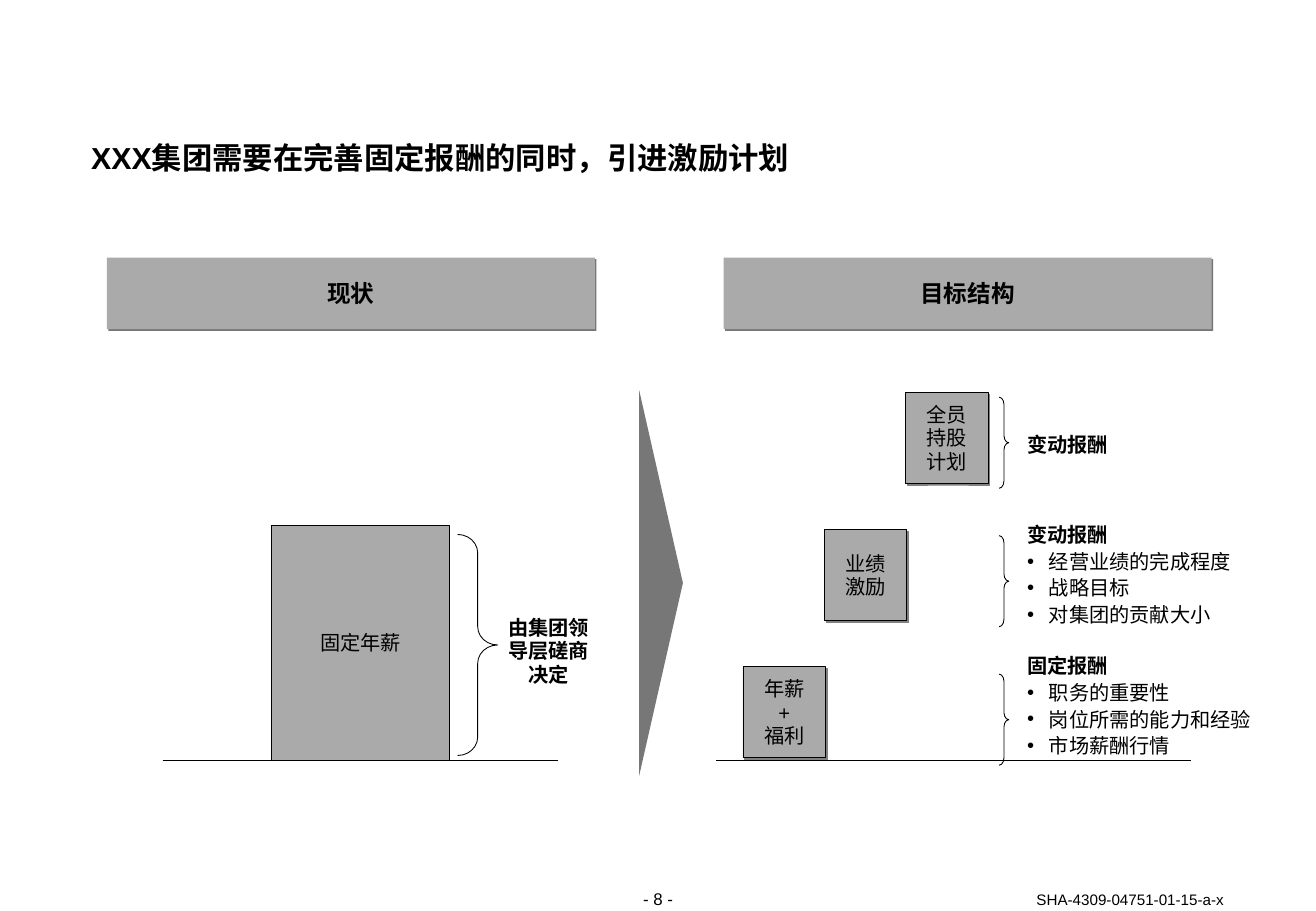
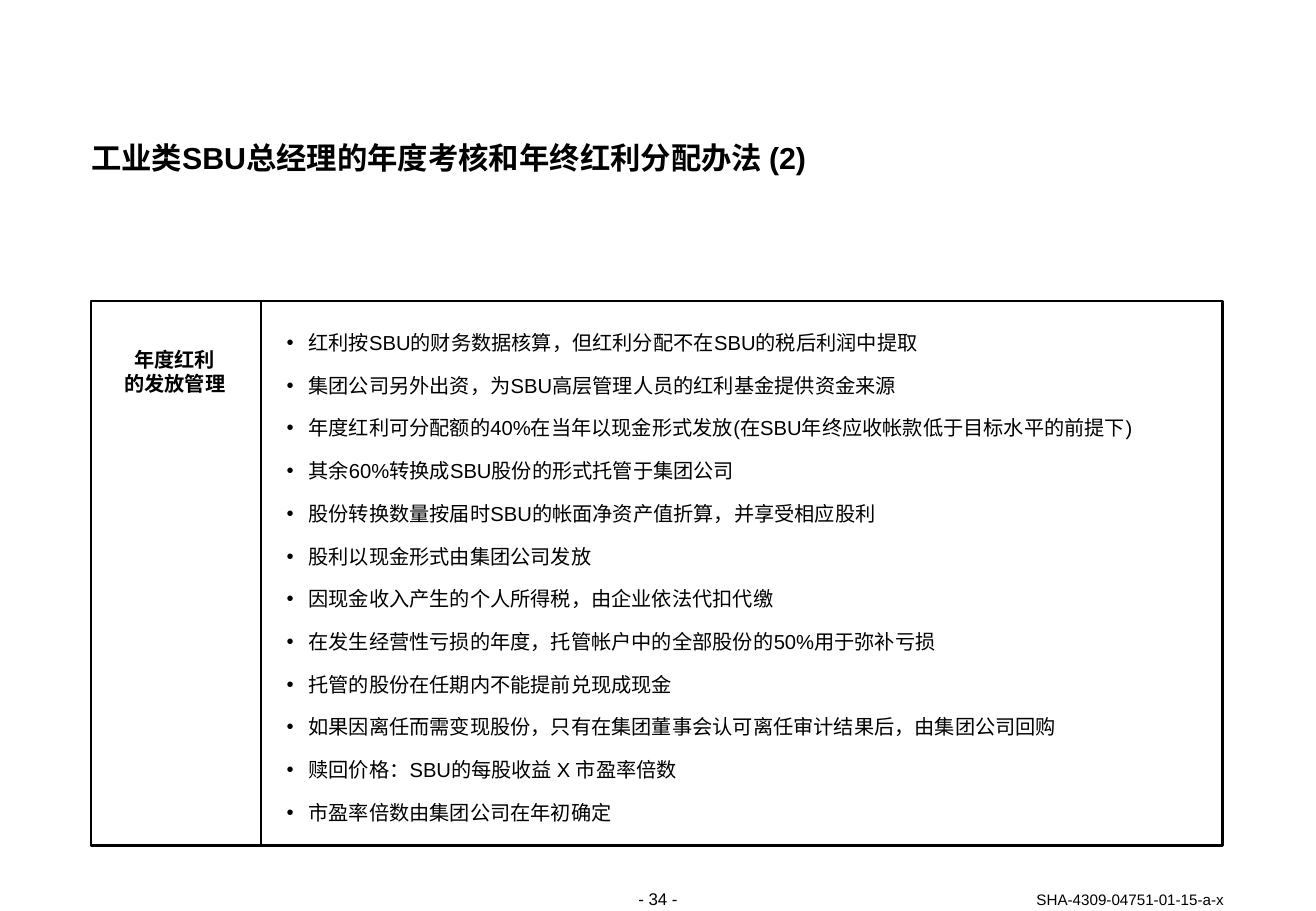
from lxml import etree
from pptx import Presentation
from pptx.dml.color import RGBColor
from pptx.enum.lang import MSO_LANGUAGE_ID
from pptx.enum.shapes import MSO_CONNECTOR, MSO_SHAPE
from pptx.enum.text import MSO_ANCHOR, MSO_AUTO_SIZE, PP_ALIGN
from pptx.oxml.ns import qn
from pptx.util import Inches, Pt

LEFT, CENTER, RIGHT = PP_ALIGN.LEFT, PP_ALIGN.CENTER, PP_ALIGN.RIGHT
TOP, MIDDLE, BOTTOM = MSO_ANCHOR.TOP, MSO_ANCHOR.MIDDLE, MSO_ANCHOR.BOTTOM
RECTANGLE = MSO_SHAPE.RECTANGLE
TRIANGLE = MSO_SHAPE.ISOSCELES_TRIANGLE
BRACE = MSO_SHAPE.RIGHT_BRACE
STRAIGHT = MSO_CONNECTOR.STRAIGHT
CHINESE = MSO_LANGUAGE_ID.SIMPLIFIED_CHINESE
NO_AUTOFIT = MSO_AUTO_SIZE.NONE
TITLE_ONLY = 5

FONT = "Arial"
BLACK, GRAY, DARK_GRAY, BOX_SHADOW = "000000", "AAAAAA", "777777", "808080"
DOCUMENT_CODE = "SHA-4309-04751-01-15-a-x"


def color(value):
    return RGBColor.from_string(value)


class Deck:
    """Holds the shared style and the slide being filled."""

    def __init__(self):
        self.presentation = Presentation()
        self.presentation.slide_width = Inches(10.84)
        self.presentation.slide_height = Inches(7.5)
        self.slide = None

    def start_slide(self, title, number):
        layout = self.presentation.slide_layouts[TITLE_ONLY]
        self.slide = self.presentation.slides.add_slide(layout)
        placeholder = self.slide.shapes.title
        placeholder.left, placeholder.top = Inches(0.75), Inches(1.17)
        placeholder.width, placeholder.height = Inches(9.33), Inches(0.28)
        self.set_text(placeholder, [title], size=18, bold=True, spacing=Pt(20))
        self.text([f"- {number} -"], 4.85, 7.32, 1.14, 0.17, size=10, align=CENTER)
        self.text([DOCUMENT_CODE], 7.64, 7.33, 2.44, 0.15, size=9, align=RIGHT,
                  anchor=BOTTOM, spacing=Pt(11))

    def set_text(self, shape, lines, size=12, bold=False, align=LEFT, anchor=TOP,
                 spacing=None):
        frame = shape.text_frame
        frame.word_wrap = True
        frame.auto_size = NO_AUTOFIT
        frame.vertical_anchor = anchor
        frame.margin_left = frame.margin_right = 0
        frame.margin_top = frame.margin_bottom = 0
        for index, line in enumerate(lines):
            paragraph = frame.paragraphs[0] if index == 0 else frame.add_paragraph()
            paragraph.alignment = align
            if spacing:
                paragraph.line_spacing = spacing
            run = paragraph.add_run()
            run.text = line
            font = run.font
            font.name, font.size, font.bold = FONT, Pt(size), bold
            font.color.rgb = color(BLACK)
            font.language_id = CHINESE

    def text(self, lines, left, top, width, height, **style):
        box = self.slide.shapes.add_textbox(
            Inches(left), Inches(top), Inches(width), Inches(height))
        self.set_text(box, lines, **style)
        return box

    def bullets(self, lines, left, top, width, height, spacing, before=0, heading=False):
        """Add a bulleted list; with heading, its first line is bold and unmarked."""
        box = self.text(lines, left, top, width, height, spacing=spacing)
        for index, paragraph in enumerate(box.text_frame.paragraphs):
            if index and before:
                paragraph.space_before = Pt(before)
            properties = paragraph._p.get_or_add_pPr()
            properties.set("marL", str(Inches(0.19)))
            properties.set("indent", str(Inches(-0.18)))
            if heading and index == 0:
                paragraph.runs[0].font.bold = True
            else:
                etree.SubElement(properties, qn("a:buFont"), typeface=FONT)
                etree.SubElement(properties, qn("a:buChar"), char="•")

    def shape(self, kind, left, top, width, height, fill=None, line=None, shadow=None):
        """Add a preset shape; line is a width in points, shadow a colour."""
        shape = self.slide.shapes.add_shape(
            kind, Inches(left), Inches(top), Inches(width), Inches(height))
        shape.shadow.inherit = False
        if fill:
            shape.fill.solid()
            shape.fill.fore_color.rgb = color(fill)
        else:
            shape.fill.background()
        if line:
            shape.line.color.rgb = color(BLACK)
            shape.line.width = Pt(line)
        else:
            shape.line.fill.background()
        if shadow:
            effects = shape._element.spPr.find(qn("a:effectLst"))
            outer = etree.SubElement(effects, qn("a:outerShdw"), blurRad="0",
                                     dist=str(Pt(1.4)), dir="2700000",
                                     algn="ctr", rotWithShape="0")
            etree.SubElement(outer, qn("a:srgbClr"), val=shadow)
        return shape

    def brace(self, left, top, width, height, curve):
        brace = self.shape(BRACE, left, top, width, height, line=0.5)
        brace.adjustments[0] = curve

    def line(self, left, top, right, bottom, width):
        connector = self.slide.shapes.add_connector(
            STRAIGHT, Inches(left), Inches(top), Inches(right), Inches(bottom))
        connector.line.color.rgb = color(BLACK)
        connector.line.width = Pt(width)
        etree.SubElement(connector._element.spPr, qn("a:effectLst"))


def build_pay_structure(deck):
    deck.start_slide("XXX集团需要在完善固定报酬的同时，引进激励计划", 8)
    for left, heading in ((0.88, "现状"), (5.96, "目标结构")):
        band = deck.shape(RECTANGLE, left, 2.12, 4.02, 0.59, GRAY, shadow=DARK_GRAY)
        deck.set_text(band, [heading], size=14, bold=True, align=CENTER, anchor=MIDDLE)
    for left, right in ((1.34, 4.6), (5.9, 9.81)):
        deck.line(left, 6.26, right, 6.26, 0.5)

    centered = {"align": CENTER, "anchor": MIDDLE, "spacing": Pt(14)}
    salary = deck.shape(RECTANGLE, 2.24, 4.33, 1.46, 1.93, GRAY, line=0.5)
    deck.set_text(salary, ["固定年薪"], **centered)
    deck.brace(3.77, 4.4, 0.33, 1.82, 0.46)
    deck.text(["由集团领导层磋商决定"], 4.11, 5.07, 0.82, 0.58, bold=True, **centered)
    deck.shape(TRIANGLE, 3.86, 4.62, 3.17, 0.36, DARK_GRAY).rotation = 90

    steps = [
        (["年薪", "+", "福利"], 5.36,
         ["固定报酬", "职务的重要性", "岗位所需的能力和经验", "市场薪酬行情"]),
        (["业绩", "激励"], 4.28,
         ["变动报酬", "经营业绩的完成程度", "战略目标", "对集团的贡献大小"]),
        (["全员", "持股", "计划"], 3.54, ["变动报酬"]),
    ]
    for index, (label, notes_top, notes) in enumerate(steps):
        box = deck.shape(RECTANGLE, 6.12 + 0.67 * index, 5.49 - 1.13 * index,
                         0.68, 0.75, GRAY, line=0.5, shadow=BOX_SHADOW)
        deck.set_text(box, label, **centered)
        deck.brace(8.23, 5.55 - 1.14 * index, 0.08, 0.75, 0.75)
        deck.bullets(notes, 8.45, notes_top, 1.89, 0.22 * len(notes),
                     spacing=1.1, heading=True)


def build_bonus_rules(deck):
    deck.start_slide("工业类SBU总经理的年度考核和年终红利分配办法 (2)", 34)
    deck.shape(RECTANGLE, 0.75, 2.48, 9.32, 4.48, line=1.5)
    deck.line(2.15, 2.48, 2.15, 6.96, 1)
    deck.text(["年度红利", "的发放管理"], 0.94, 2.86, 1, 0.4, bold=True, align=CENTER)
    rules = [
        "红利按SBU的财务数据核算，但红利分配不在SBU的税后利润中提取",
        "集团公司另外出资，为SBU高层管理人员的红利基金提供资金来源",
        "年度红利可分配额的40%在当年以现金形式发放(在SBU年终应收帐款低于目标水平的前提下)",
        "其余60%转换成SBU股份的形式托管于集团公司",
        "股份转换数量按届时SBU的帐面净资产值折算，并享受相应股利",
        "股利以现金形式由集团公司发放",
        "因现金收入产生的个人所得税，由企业依法代扣代缴",
        "在发生经营性亏损的年度，托管帐户中的全部股份的50%用于弥补亏损",
        "托管的股份在任期内不能提前兑现成现金",
        "如果因离任而需变现股份，只有在集团董事会认可离任审计结果后，由集团公司回购",
        "赎回价格：SBU的每股收益 X 市盈率倍数",
        "市盈率倍数由集团公司在年初确定",
    ]
    deck.bullets(rules, 2.35, 2.61, 7.55, 4.18, spacing=1.55, before=3)


def main():
    deck = Deck()
    build_pay_structure(deck)
    build_bonus_rules(deck)
    deck.presentation.save("out.pptx")


if __name__ == "__main__":
    main()
